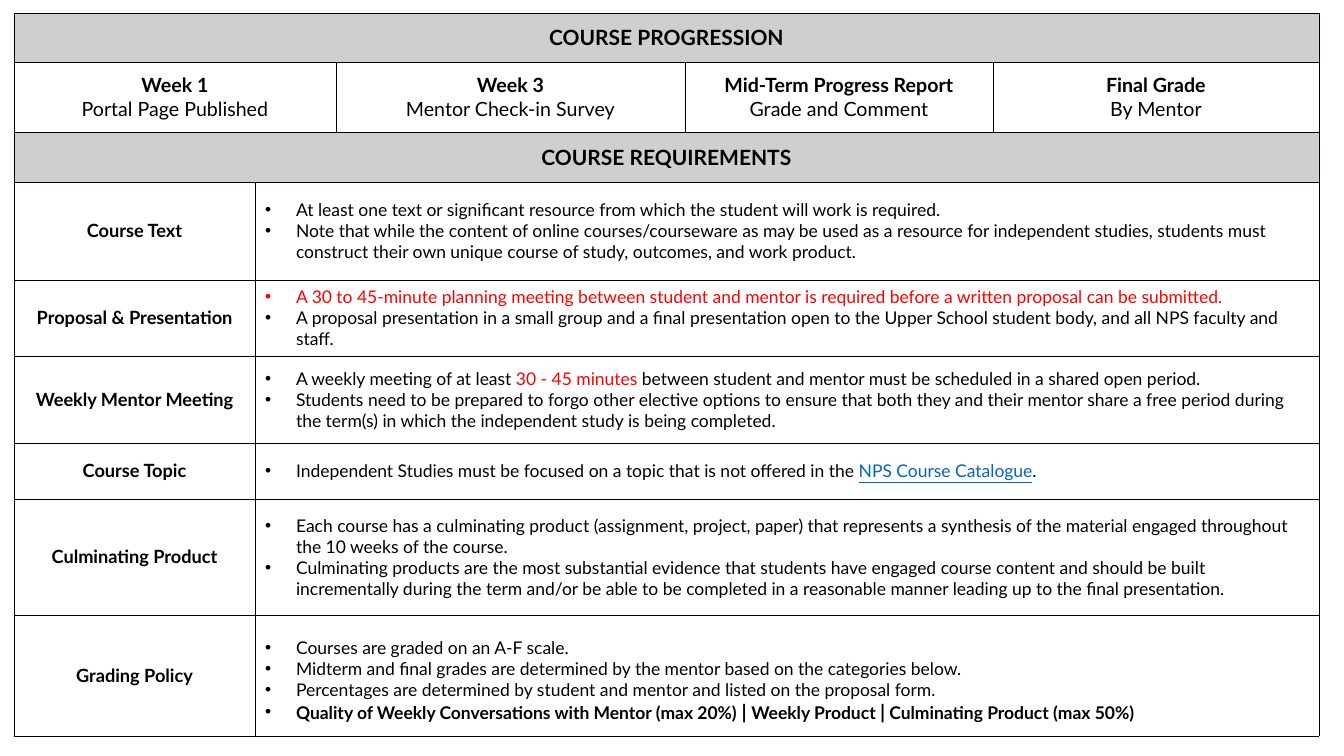
"""Build the course progression and requirements table slide."""
import lxml.etree
import pptx
import pptx.dml.color
import pptx.enum.text
import pptx.oxml.ns
import pptx.util

PX = 12192000 / 1344
BLACK = pptx.dml.color.RGBColor(0x00, 0x00, 0x00)
RED = pptx.dml.color.RGBColor(0xFF, 0x00, 0x00)
LINK_BLUE = pptx.dml.color.RGBColor(0x05, 0x63, 0xC1)
BAND_GREY = pptx.dml.color.RGBColor(0xD0, 0xCE, 0xCE)
FONT = "Lato"
BODY_SIZE = 12.5
BULLET_INDENT = 31
COLUMN_WIDTHS = [241, 81, 349, 308, 326]
ROW_HEIGHTS = [49, 70, 50, 98, 76, 87, 56, 116, 121]
LAST_COLUMN = len(COLUMN_WIDTHS) - 1

BANDS = {0: "COURSE PROGRESSION", 2: "COURSE REQUIREMENTS"}
MILESTONES = [
    (0, "Week 1", "Portal Page Published"),
    (2, "Week 3", "Mentor Check-in Survey"),
    (3, "Mid-Term Progress Report", "Grade and Comment"),
    (4, "Final Grade", "By Mentor"),
]
REQUIREMENTS = [
    ("Course Text", [
        [("At least one text or significant resource from which the student will work is required.", {})],
        [("Note that while the content of online courses/courseware as may be used as a resource for "
          "independent studies, students must construct their own unique course of study, outcomes, "
          "and work product.", {})],
    ]),
    ("Proposal & Presentation", [
        [("A 30 to 45-minute planning meeting between student and mentor is required before a written "
          "proposal can be submitted.", {"color": RED})],
        [("A proposal presentation in a small group and a final presentation open to the Upper School "
          "student body, and all NPS faculty and staff.", {})],
    ]),
    ("Weekly Mentor Meeting", [
        [("A weekly meeting of at least ", {}),
         ("30 - 45 minutes ", {"color": RED}),
         ("between student and mentor must be scheduled in a shared open period.", {})],
        [("Students need to be prepared to forgo other elective options to ensure that both they and "
          "their mentor share a free period during the term(s) in which the independent study is being "
          "completed.", {})],
    ]),
    ("Course Topic", [
        [("Independent Studies must be focused on a topic that is not offered in the ", {}),
         ("NPS Course Catalogue", {"color": LINK_BLUE, "underline": True}),
         (".", {})],
    ]),
    ("Culminating Product", [
        [("Each course has a culminating product (assignment, project, paper) that represents a "
          "synthesis of the material engaged throughout the 10 weeks of the course.", {})],
        [("Culminating products are the most substantial evidence that students have engaged course "
          "content and should be built incrementally during the term and/or be able to be completed in "
          "a reasonable manner leading up to the final presentation.", {})],
    ]),
    ("Grading Policy", [
        [("Courses are graded on an A-F scale.", {})],
        [("Midterm and final grades are determined by the mentor based on the categories below.", {})],
        [("Percentages are determined by student and mentor and listed on the proposal form.", {})],
        [("Quality of Weekly Conversations with Mentor (max 20%)", {"bold": True}),
         (" | ", {"bold": True, "size": 14}),
         ("Weekly Product ", {"bold": True}),
         ("|", {"bold": True, "size": 14}),
         (" Culminating Product (max 50%)", {"bold": True})],
    ]),
]


def px(length):
    return pptx.util.Emu(round(length * PX))


def write_cell(cell, paragraphs, bulleted=False):
    for index, runs in enumerate(paragraphs):
        text_frame = cell.text_frame
        paragraph = text_frame.add_paragraph() if index else text_frame.paragraphs[0]
        if bulleted:
            properties = paragraph._p.get_or_add_pPr()
            properties.set("marL", str(px(BULLET_INDENT)))
            properties.set("indent", str(-px(BULLET_INDENT)))
            bullet_font = lxml.etree.SubElement(properties, pptx.oxml.ns.qn("a:buFont"))
            bullet_font.set("typeface", "Arial")
            bullet = lxml.etree.SubElement(properties, pptx.oxml.ns.qn("a:buChar"))
            bullet.set("char", "•")
        else:
            paragraph.alignment = pptx.enum.text.PP_ALIGN.CENTER
        for text, style in runs:
            run = paragraph.add_run()
            run.text = text
            run.font.name = FONT
            run.font.size = pptx.util.Pt(style.get("size", BODY_SIZE))
            run.font.bold = style.get("bold", False)
            run.font.underline = style.get("underline")
            run.font.color.rgb = style.get("color", BLACK)


presentation = pptx.Presentation()
presentation.slide_width = px(1344)
presentation.slide_height = px(756)
slide = presentation.slides.add_slide(presentation.slide_layouts[6])

table = slide.shapes.add_table(
    len(ROW_HEIGHTS), len(COLUMN_WIDTHS), px(14), px(13),
    px(sum(COLUMN_WIDTHS)), px(sum(ROW_HEIGHTS)),
).table
table.first_row = False
table.horz_banding = False
for column, width in zip(table.columns, COLUMN_WIDTHS):
    column.width = px(width)
for row, height in zip(table.rows, ROW_HEIGHTS):
    row.height = px(height)

for cell in table.iter_cells():
    cell.vertical_anchor = pptx.enum.text.MSO_ANCHOR.MIDDLE
    cell_properties = cell._tc.get_or_add_tcPr()
    for side in ("lnL", "lnR", "lnT", "lnB"):
        border = lxml.etree.SubElement(cell_properties, pptx.oxml.ns.qn(f"a:{side}"))
        border.set("w", str(pptx.util.Pt(0.5)))
        border_fill = lxml.etree.SubElement(border, pptx.oxml.ns.qn("a:solidFill"))
        border_color = lxml.etree.SubElement(border_fill, pptx.oxml.ns.qn("a:srgbClr"))
        border_color.set("val", str(BLACK))
    cell.fill.background()

for row_index, title in BANDS.items():
    band = table.cell(row_index, 0)
    band.merge(table.cell(row_index, LAST_COLUMN))
    band.fill.solid()
    band.fill.fore_color.rgb = BAND_GREY
    write_cell(band, [[(title, {"size": 15, "bold": True})]])

table.cell(1, 0).merge(table.cell(1, 1))
for column_index, heading, detail in MILESTONES:
    write_cell(table.cell(1, column_index), [
        [(heading, {"size": 14, "bold": True})],
        [(detail, {"size": 14})],
    ])

for row_index, (label, bullets) in enumerate(REQUIREMENTS, start=3):
    write_cell(table.cell(row_index, 0), [[(label, {"size": 13, "bold": True})]])
    requirement = table.cell(row_index, 1)
    requirement.merge(table.cell(row_index, LAST_COLUMN))
    write_cell(requirement, bullets, bulleted=True)

table.cell(len(ROW_HEIGHTS) - 1, 1).margin_top = px(15)

presentation.save("out.pptx")
